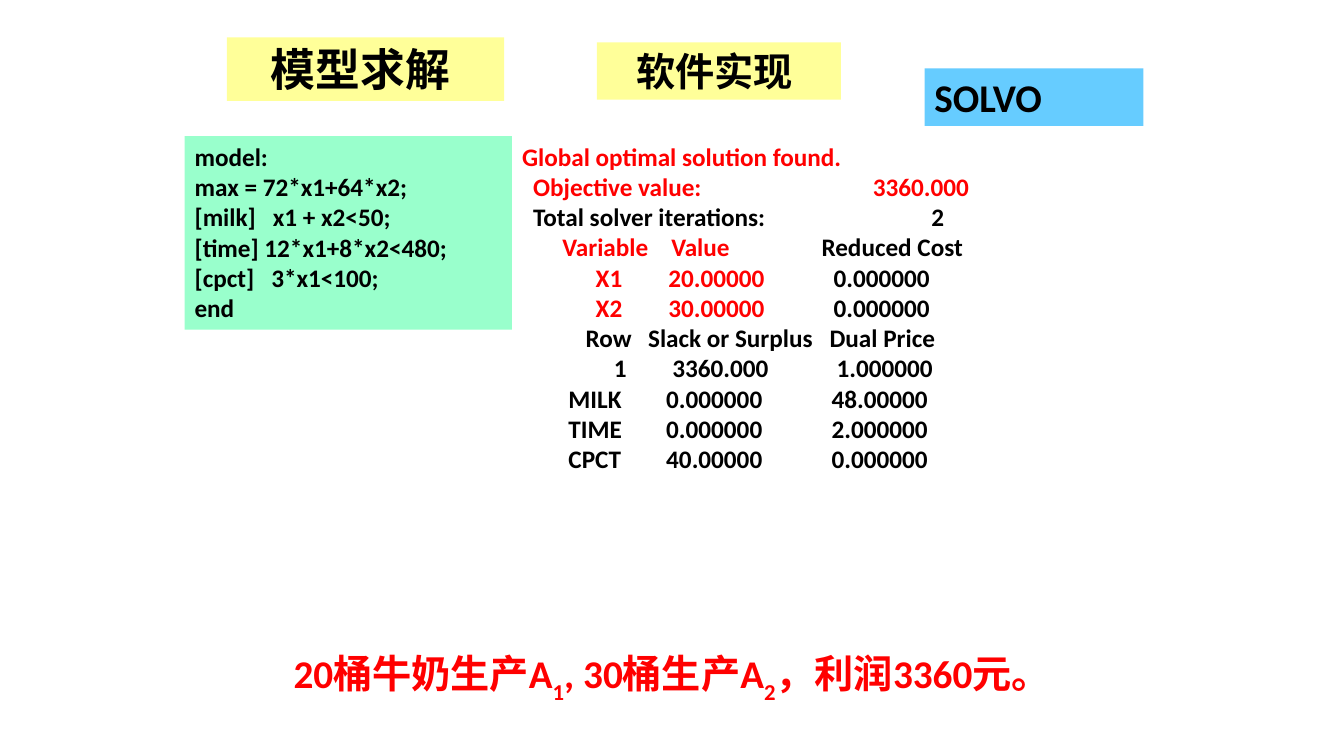
from lxml import etree
from pptx import Presentation
from pptx import util as u
from pptx.dml.color import RGBColor
from pptx.enum import shapes, text
from pptx.oxml import ns

BLACK, RED = RGBColor(0, 0, 0), RGBColor(255, 0, 0)
WHITE, YELLOW = RGBColor(255, 255, 255), RGBColor(255, 255, 153)
BLUE, GREEN = RGBColor(102, 204, 255), RGBColor(153, 255, 204)
LATIN, HAN = "Calibri", "Noto Sans CJK SC"
LEFT, MID = text.PP_ALIGN.LEFT, text.PP_ALIGN.CENTER

# Content: a line is a list of (text, colour, baseline) runs
HEAD = "模型求解 "
SOFT = "软件实现 "
TOOL = "SOLVO"
CODE = [
    "model:",
    "max = 72*x1+64*x2;",
    "[milk]   x1 + x2<50;",
    "[time] 12*x1+8*x2<480;",
    "[cpct]   3*x1<100;",
    "end",
]
# Solver report: tab stops in inches, cells, number of leading red cells
REPORT = [
    ([], ["Global optimal solution found."], 1),
    ([0.11, 3.48], ["Objective value:", "3360.000"], 2),
    ([0.11, 4.06], ["Total solver iterations:", "2"], 0),
    ([0.4, 1.48, 2.97], ["Variable", "Value", "Reduced Cost"], 2),
    ([0.73, 1.45, 3.09], ["X1", "20.00000", "0.000000"], 2),
    ([0.73, 1.45, 3.09], ["X2", "30.00000", "0.000000"], 2),
    ([0.63, 1.25, 3.05], ["Row", "Slack or Surplus", "Dual Price"], 0),
    ([0.91, 1.49, 3.12], ["1", "3360.000", "1.000000"], 0),
    ([0.46, 1.43, 3.07], ["MILK", "0.000000", "48.00000"], 0),
    ([0.46, 1.43, 3.07], ["TIME", "0.000000", "2.000000"], 0),
    ([0.46, 1.43, 3.07], ["CPCT", "40.00000", "0.000000"], 0),
]
RESULT = [("20桶牛奶生产A", 0), ("1", -30), (", 30桶生产A", 0),
          ("2", -30), ("，利润3360元。 ", 0)]


def plain(line):
    return [(line, BLACK, 0)]


def set_tabs(para, stops):
    props = para._p.get_or_add_pPr()
    tabs = etree.SubElement(props, ns.qn("a:tabLst"))
    for stop in stops:
        etree.SubElement(tabs, ns.qn("a:tab"),
                         pos=str(u.Inches(stop)), algn="l")


def fill_text(shape, lines, size, align=LEFT, font=LATIN,
              anchor=text.MSO_ANCHOR.MIDDLE, stops=None):
    frame = shape.text_frame
    form = {"word_wrap": True, "auto_size": text.MSO_AUTO_SIZE.NONE,
            "vertical_anchor": anchor}
    for key, val in form.items():
        setattr(frame, key, val)
    for i, line in enumerate(lines):
        para = frame.add_paragraph() if i else frame.paragraphs[0]
        para.alignment, para.space_before = align, u.Pt(0)
        if shape.is_placeholder:
            props = para._p.get_or_add_pPr()
            props.set("marL", "0")
            props.set("indent", "0")
            etree.SubElement(props, ns.qn("a:buNone"))
        if stops and stops[i]:
            set_tabs(para, stops[i])
        for words, color, base in line:
            run = para.add_run()
            run.text = words
            look = {"name": font, "size": u.Pt(size), "bold": True}
            for key, val in look.items():
                setattr(run.font, key, val)
            run.font.color.rgb = color
            props = run._r.get_or_add_rPr()
            etree.SubElement(props, ns.qn("a:ea"), typeface=HAN)
            if base:
                props.set("baseline", str(base * 1000))


def place(shape, box, fill):
    for key, val in zip(("left", "top", "width", "height"), box):
        setattr(shape, key, u.Inches(val))
    shape.fill.solid()
    shape.fill.fore_color.rgb = fill
    return shape


def add_box(slide, box, fill):
    shape = slide.shapes.add_shape(shapes.MSO_SHAPE.RECTANGLE,
                                   *map(u.Inches, box))
    shape.shadow.inherit = False
    shape.line.fill.background()
    return place(shape, box, fill)


def main():
    deck = Presentation()
    deck.slide_width, deck.slide_height = u.Inches(13.33), u.Inches(7.5)
    slide = deck.slides.add_slide(deck.slide_layouts[1])
    title, body = slide.placeholders

    # Headings
    place(title, (2.25, 0.37, 2.75, 0.63), YELLOW)
    fill_text(title, [plain(HEAD)], 32, MID, HAN)
    soft = add_box(slide, (5.92, 0.42, 2.42, 0.57), YELLOW)
    fill_text(soft, [plain(SOFT)], 28, MID, HAN)
    tool = add_box(slide, (9.17, 0.68, 2.17, 0.57), BLUE)
    fill_text(tool, [plain(TOOL)], 28)

    # Model code
    top = text.MSO_ANCHOR.TOP
    place(body, (1.83, 1.35, 3.25, 1.92), GREEN)
    fill_text(body, [plain(line) for line in CODE], 18, anchor=top)

    # Solver report
    report = add_box(slide, (5.08, 1.35, 6.5, 3.43), WHITE)
    lines = [[(("\t" if stops else "") + cell, RED if i < reds else BLACK, 0)
              for i, cell in enumerate(cells)]
             for stops, cells, reds in REPORT]
    fill_text(report, lines, 18, anchor=top, stops=[row[0] for row in REPORT])

    # Result
    area = map(u.Inches, (2.5, 6.43, 8.42, 0.57))
    result = slide.shapes.add_textbox(*area)
    fill_text(result, [[(words, RED, base) for words, base in RESULT]], 28, MID)

    deck.save("out.pptx")


if __name__ == "__main__":
    main()
